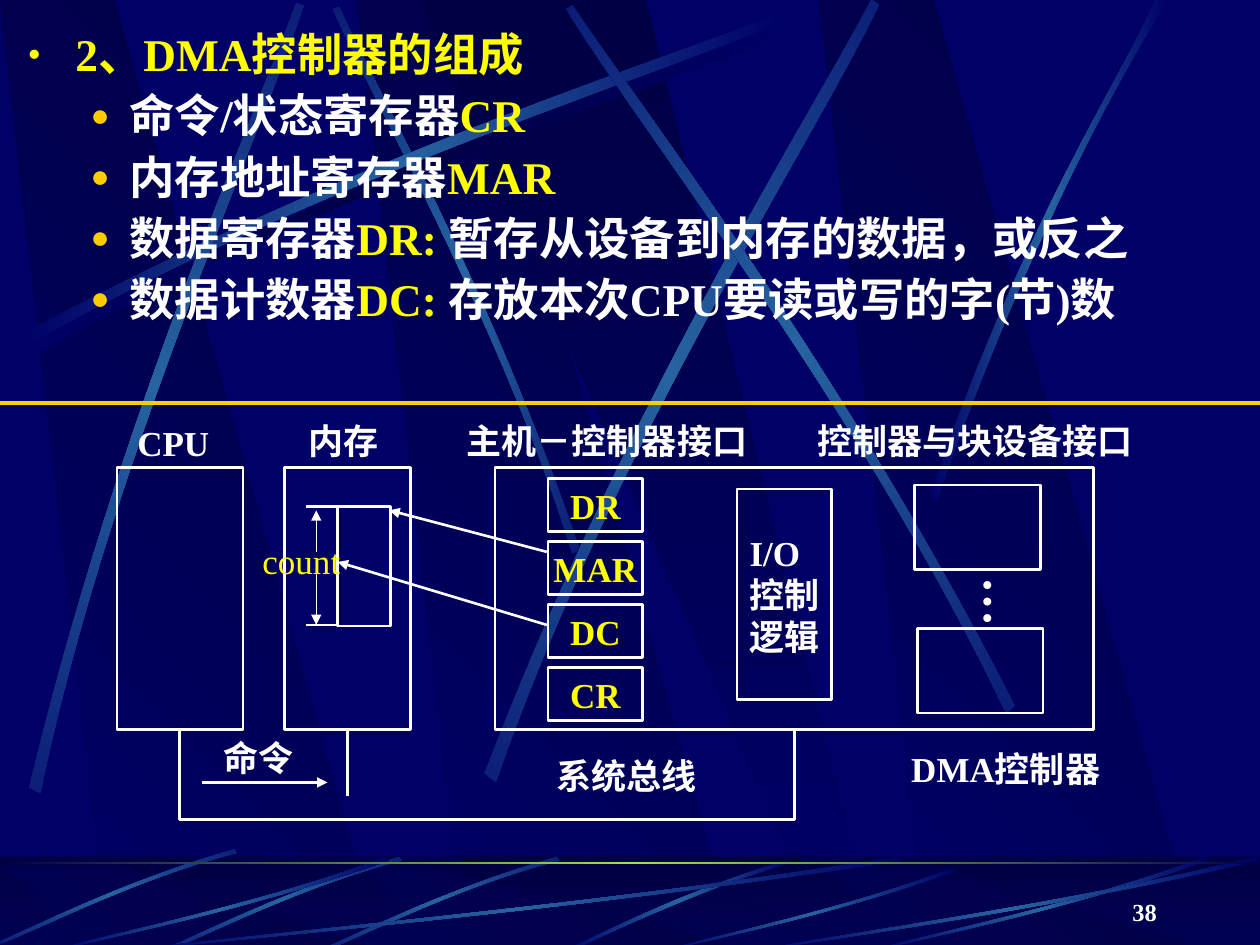
from copy import deepcopy
from math import cos, radians, sin

from lxml import etree
from pptx import Presentation
from pptx import util as u
from pptx.dml.color import RGBColor
from pptx.enum import shapes, text
from pptx.oxml import ns

Inches = u.Inches
FONT = "Times New Roman"
COLORS = {key: RGBColor.from_string(value) for key, value in {
    "navy": "000066", "dark": "000044", "beam": "2663A0", "green": "9CE157",
    "white": "FFFFFF", "yellow": "FFFF00", "gold": "FFCC00"}.items()}

presentation = Presentation()
presentation.slide_width, presentation.slide_height = Inches(10), Inches(7.5)
slide = presentation.slides.add_slide(presentation.slide_layouts[6])
slide.background.fill.solid()
slide.background.fill.fore_color.rgb = COLORS["navy"]


def paint_gradient(shape, names, angle=0):
    """Fill with evenly spaced colours and no outline; angle is counterclockwise."""
    shape.shadow.inherit = False
    shape.line.fill.background()
    shape.fill.gradient()
    shape.fill.gradient_angle = angle
    stops = shape._element.spPr.find(".//" + ns.qn("a:gsLst"))
    while len(stops) < len(names):
        stops.append(deepcopy(stops[0]))
    for index, (stop, name) in enumerate(zip(shape.fill.gradient_stops, names)):
        stop.color.rgb = COLORS[name]
        stop.position = index / (len(names) - 1)


def write(shape, lines, color="white", size=20, bold=True, align="LEFT"):
    """Put single-run lines into a shape without wrapping."""
    frame = shape.text_frame
    frame.word_wrap = False
    for index, line in enumerate(lines):
        paragraph = frame.paragraphs[0] if index == 0 else frame.add_paragraph()
        paragraph.alignment = text.PP_ALIGN[align]
        run = paragraph.add_run()
        run.text = line
        run.font.name, run.font.size, run.font.bold = FONT, u.Pt(size), bold
        run.font.color.rgb = COLORS[color]


# Backdrop: dark wedges, full height and again inside the bottom band
wedge = [(0.86, 1), (3.02, 1), (0.91, 0), (0, 0)]
wedges = [([(x + left, y) for x, y in wedge], ("navy", "dark"), 45)
          for left in (2.83, 0, 6.5)]
wedges.append(([(3.33, 0), (6.58, 1), (6.94, 1), (5.13, 0)], ("dark", "navy"), 270))
for top, height in ((0, 7.52), (6.88, 0.66)):
    if top:
        band = slide.shapes.add_shape(shapes.MSO_SHAPE.RECTANGLE, Inches(0),
                                      Inches(6.8), Inches(10), Inches(0.75))
        paint_gradient(band, ("dark", "navy"), 270)
    for outline, names, angle in wedges:
        points = [(Inches(x), Inches(top + y * height)) for x, y in outline]
        builder = slide.shapes.build_freeform(*points[0])
        builder.add_line_segments(points[1:], close=True)
        paint_gradient(builder.convert_to_shape(), names, angle)

veil = slide.shapes.add_shape(shapes.MSO_SHAPE.RECTANGLE, Inches(0), Inches(6.79),
                              Inches(10), Inches(0.75))
veil.shadow.inherit = False
veil.line.fill.background()
veil.fill.solid()
veil.fill.fore_color.rgb = COLORS["dark"]
veil_color = veil._element.spPr.find(".//" + ns.qn("a:srgbClr"))
etree.SubElement(veil_color, ns.qn("a:alpha")).set("val", "50000")

# Backdrop: light beams, each bounded by two Bezier curves, with centre and rotation
sweep = [(0.14, 2.67), (2.78, 1.25), (5.18, 0.51), (6.2, 0.1),
         (6.23, 0.16), (5.22, 0.61), (2.48, 1.43), (0.17, 2.77)]
streak = [(4.42, 6.8), (3.55, 7.05), (2.87, 7.4), (2.56, 7.53),
          (2.57, 7.55), (2.88, 7.43), (3.65, 7.03), (4.44, 6.83)]
arc = [(1, 0.04), (0.57, 0.57), (0.17, 0.85), (0, 1),
       (0, 0.99), (0.17, 0.81), (0.61, 0.51), (0.99, 0)]
glow = ("navy", "beam", "navy")
beams = [
    ([(x + 0.06, y + 0.08) for x, y in sweep], (3.24, 1.52), 0, ("navy", "dark", "navy")),
    ([(4.6, 4.36), (3.91, 2.34), (3.02, 0.77), (2.69, 0.05),
      (2.64, 0.07), (2.95, 0.79), (3.98, 2.58), (4.54, 4.39)], (3.62, 2.22), 45, glow),
    (sweep, (3.18, 1.44), 0, glow),
    ([(0.23, 6.25), (0.93, 3.34), (1.97, 1.05), (2.35, 0.02),
      (2.41, 0.04), (2.07, 1.08), (0.86, 3.68), (0.32, 6.29)], (1.33, 3.16), 311.7, glow),
    ([(3.85, 6.14), (4.98, 3.2), (6.38, 1.02), (6.92, 0),
      (6.98, 0.04), (6.49, 1.08), (4.86, 3.55), (3.94, 6.21)], (5.43, 3.1), 321.6, glow),
    ([(8.06, 5.6), (6.7, 2.93), (5.16, 0.95), (4.55, 0.04),
      (4.5, 0.07), (5.07, 1.01), (6.85, 3.25), (7.99, 5.66)], (6.27, 2.86), 34.8, glow),
    ([(7.38, 3.93), (8.14, 1.73), (8.88, 0.66), (9.17, 0),
      (9.27, 0), (8.36, 1.45), (7.69, 3.22), (7.44, 3.97)], (8.32, 1.98), 0, glow),
    ([(6.27, 6.82), (5.37, 7.09), (4.77, 7.42), (4.48, 7.54),
      (4.53, 7.55), (4.9, 7.37), (5.71, 7), (6.28, 6.85)], (5.38, 7.18), 0, glow),
]
for dx, dy in ((0, 0), (-1.25, 0), (-2.56, -0.06)):
    beams.append(([(x + dx, y + dy) for x, y in streak],
                  (3.5 + dx, 7.18 + dy), 314.9, glow))
for left, top, width in ((1, 6.8, 6.17), (0.42, 6.8, 2.67), (5.27, 6.89, 2.31),
                         (6.92, 6.8, 2.67), (6, 6.8, 4)):
    height = 7.55 - top
    beams.append(([(left + x * width, top + y * height) for x, y in arc],
                  (left + width / 2, top + height / 2), 0, glow))

for controls, (center_x, center_y), rotation, names in beams:
    turn = radians(-rotation)
    points = []
    for x, y in controls:
        dx, dy = x - center_x, y - center_y
        points.append((Inches(center_x + dx * cos(turn) - dy * sin(turn)),
                       Inches(center_y + dx * sin(turn) + dy * cos(turn))))
    builder = slide.shapes.build_freeform(*points[0])
    builder.add_line_segments(points[1:], close=True)
    beam = builder.convert_to_shape()
    segments = beam._element.spPr.findall(".//" + ns.qn("a:lnTo"))
    for curve in (segments[:3], segments[4:]):
        bezier = etree.Element(ns.qn("a:cubicBezTo"))
        curve[0].addprevious(bezier)
        for segment in curve:
            bezier.append(segment[0])
            segment.getparent().remove(segment)
    paint_gradient(beam, names)
    beam.rotation = rotation

rule = slide.shapes.add_shape(shapes.MSO_SHAPE.RECTANGLE, Inches(0), Inches(6.84),
                              Inches(10), Inches(0.02))
paint_gradient(rule, ("dark", "green", "dark"))

# Outline text
outline = [
    [("2、DMA控制器的组成", "yellow")],
    [("命令/状态寄存器", "white"), ("CR", "yellow")],
    [("内存地址寄存器", "white"), ("MAR", "yellow")],
    [("数据寄存器", "white"), ("DR: ", "yellow"), ("暂存从设备到内存的数据，或反之", "white")],
    [("数据计数器", "white"), ("DC: ", "yellow"), ("存放本次CPU要读或写的字(节)数", "white")],
]
body = slide.shapes.add_textbox(Inches(0.12), Inches(0.21), Inches(9.75), Inches(3))
body.text_frame.word_wrap = True
for index, runs in enumerate(outline):
    paragraph = body.text_frame.paragraphs[0] if index == 0 else body.text_frame.add_paragraph()
    paragraph.line_spacing = 0.9
    if index:
        paragraph.level, paragraph.space_before = 1, u.Pt(7)
        margin, indent, bullet, bullet_color, bullet_size = 0.81, -0.31, "●", "gold", 70
    else:
        margin, indent, bullet, bullet_color, bullet_size = 0.38, -0.38, "•", "yellow", 85
    properties = paragraph._p.get_or_add_pPr()
    properties.set("marL", str(Inches(margin)))
    properties.set("indent", str(Inches(indent)))
    color_element = etree.SubElement(properties, ns.qn("a:buClr"))
    etree.SubElement(color_element, ns.qn("a:srgbClr")).set("val", str(COLORS[bullet_color]))
    for tag, key, value in (("a:buSzPct", "val", str(bullet_size * 1000)),
                            ("a:buFont", "typeface", FONT), ("a:buChar", "char", bullet)):
        etree.SubElement(properties, ns.qn(tag)).set(key, value)
    for words, color in runs:
        run = paragraph.add_run()
        run.text = words
        run.font.name, run.font.size, run.font.bold = FONT, u.Pt(25.9), True
        run.font.color.rgb = COLORS[color]

# Diagram boxes
boxes = {
    "cpu": (0.93, 3.71, 1, 2.08), "memory": (2.26, 3.71, 1, 2.08),
    "controller": (3.93, 3.71, 4.75, 2.08), "logic": (5.85, 3.88, 0.75, 1.67),
    "device 1": (7.26, 3.85, 1, 0.67), "device n": (7.28, 4.99, 1, 0.67),
    "buffer": (2.68, 4.02, 0.42, 0.95),
}
registers = ("DR", "MAR", "DC", "CR")
for row, register in enumerate(registers):
    boxes[register] = (4.35, 3.8 + 0.5 * row, 0.75, 0.42)
drawn = {}
for name, box in boxes.items():
    shape = slide.shapes.add_shape(shapes.MSO_SHAPE.RECTANGLE, *map(Inches, box))
    shape.shadow.inherit = False
    shape.fill.background()
    shape.line.color.rgb, shape.line.width = COLORS["white"], u.Pt(1.5)
    drawn[name] = shape
for register in registers:
    write(drawn[register], [register], "yellow", align="CENTER")
write(drawn["logic"], ["I/O", "控制", "逻辑"])

# Lines and arrows: start, end, width, arrowhead, colour; the bus comes last
lines = [
    (2.76, 5.79, 2.76, 6.32, 1.5, False, "white"), (1.6, 6.21, 2.6, 6.21, 1.5, True, "white"),
    (4.34, 4.38, 3.09, 4.05, 1.5, True, "white"), (4.34, 4.96, 2.68, 4.46, 1.5, True, "white"),
    (2.68, 4.02, 2.43, 4.02, 1.5, False, "white"), (2.68, 4.96, 2.43, 4.96, 1.5, False, "white"),
    (2.51, 4.38, 2.51, 4.05, 0.75, True, "white"), (2.51, 4.55, 2.51, 4.96, 0.75, True, "white"),
    (0, 3.2, 10, 3.2, 2.25, False, "gold"), (1.43, 5.79, 6.3, 5.79, 1.5, False, "white"),
]
connectors = []
for *ends, width, arrow, color in lines:
    kind = shapes.MSO_CONNECTOR.ELBOW if ends[0] == 1.43 else shapes.MSO_CONNECTOR.STRAIGHT
    connector = slide.shapes.add_connector(kind, *map(Inches, ends))
    connector.line.color.rgb, connector.line.width = COLORS[color], u.Pt(width)
    if arrow:
        etree.SubElement(connector.line._get_or_add_ln(), ns.qn("a:tailEnd")).set("type", "triangle")
    etree.SubElement(connector._element.spPr, ns.qn("a:effectLst"))
    connectors.append(connector)
connectors[0].begin_connect(drawn["memory"], 2)

# System bus: a U-shaped elbow below the boxes
bus = connectors[-1]
bus.begin_connect(drawn["cpu"], 2)
bus.end_connect(drawn["controller"], 2)
bus.left, bus.top, bus.width, bus.height = map(Inches, (3.86, 3.36, 0.01, 4.88))
bus.rotation = 270
bus._element.spPr.find(ns.qn("a:xfrm")).set("flipH", "1")
guide = etree.SubElement(bus._element.spPr.find(".//" + ns.qn("a:avLst")), ns.qn("a:gd"))
guide.set("name", "adj1")
guide.set("fmla", "val 7200000")

# Labels: words, right edge, top, width
labels = [
    ("CPU", 1.76, 3.3, 0.82), ("内存", 3.1, 3.28, 0.82),
    ("主机－控制器接口", 6.03, 3.28, 2.5), ("控制器与块设备接口", 9.09, 3.28, 2.78),
    ("DMA控制器", 8.83, 5.88, 1.84), ("系统总线", 5.63, 5.94, 1.36),
    ("命令", 2.43, 5.8, 0.82), ("count", 2.8, 4.23, 0.84), ("…", 8.25, 4.48, 0.66),
]
for words, right, top, width in labels:
    label = slide.shapes.add_textbox(Inches(right - width), Inches(top), Inches(width), Inches(0.44))
    if words == "count":
        write(label, [words], "yellow", bold=False, align="RIGHT")
    elif words == "…":
        label.height = Inches(0.49)
        write(label, [words], size=28, align="RIGHT")
        frame = label.text_frame
        frame.margin_left = frame.margin_right = Inches(0.05)
        frame.margin_top = frame.margin_bottom = Inches(0.1)
        frame._txBody.bodyPr.set("vert", "eaVert")
    else:
        write(label, [words], align="RIGHT")

# Slide number
number = slide.shapes.add_textbox(Inches(7.2), Inches(6.9), Inches(2.08), Inches(0.5))
write(number, ["38"], size=14, align="RIGHT")
number.text_frame.word_wrap = True
number.text_frame.vertical_anchor = text.MSO_ANCHOR.BOTTOM

presentation.save("out.pptx")
